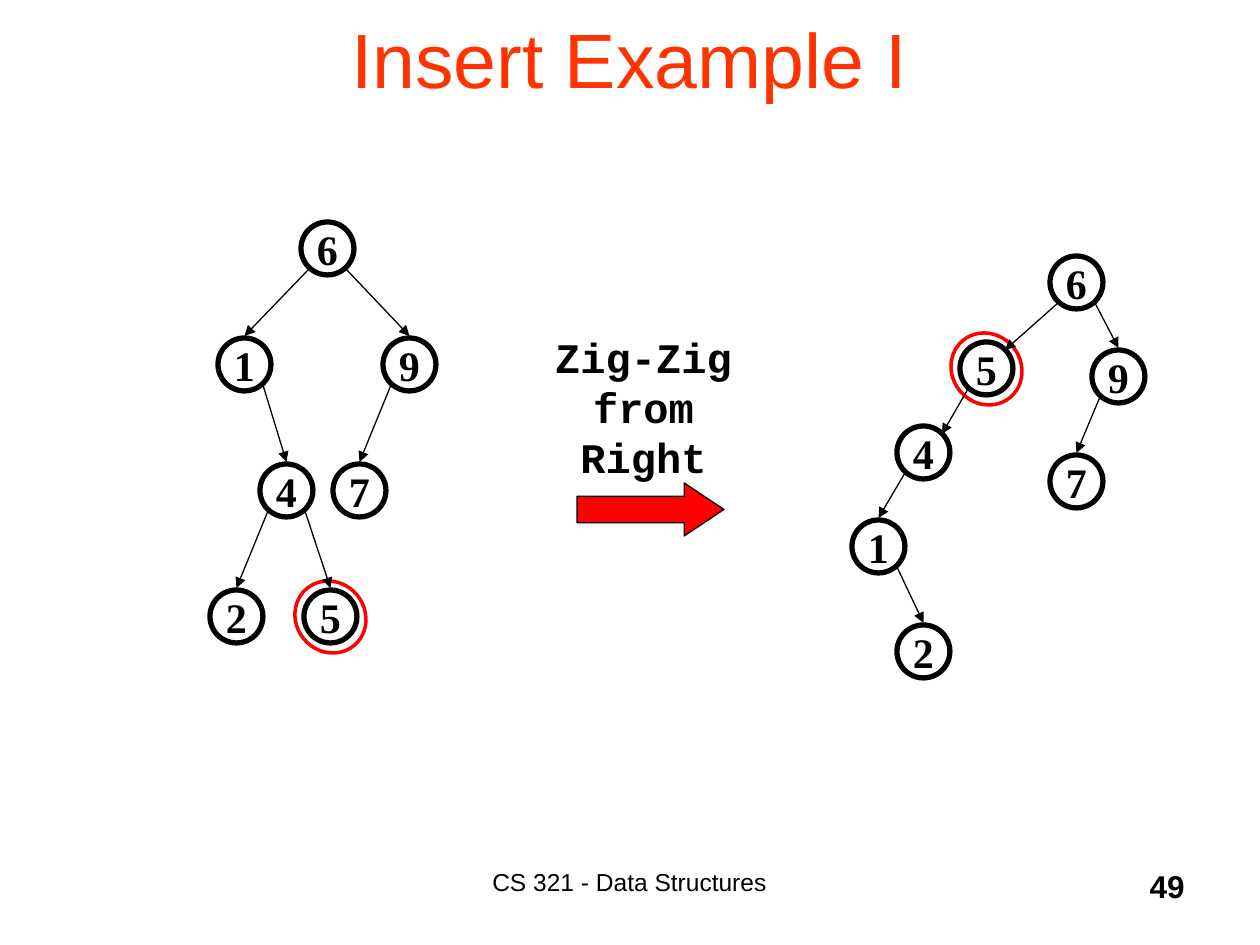
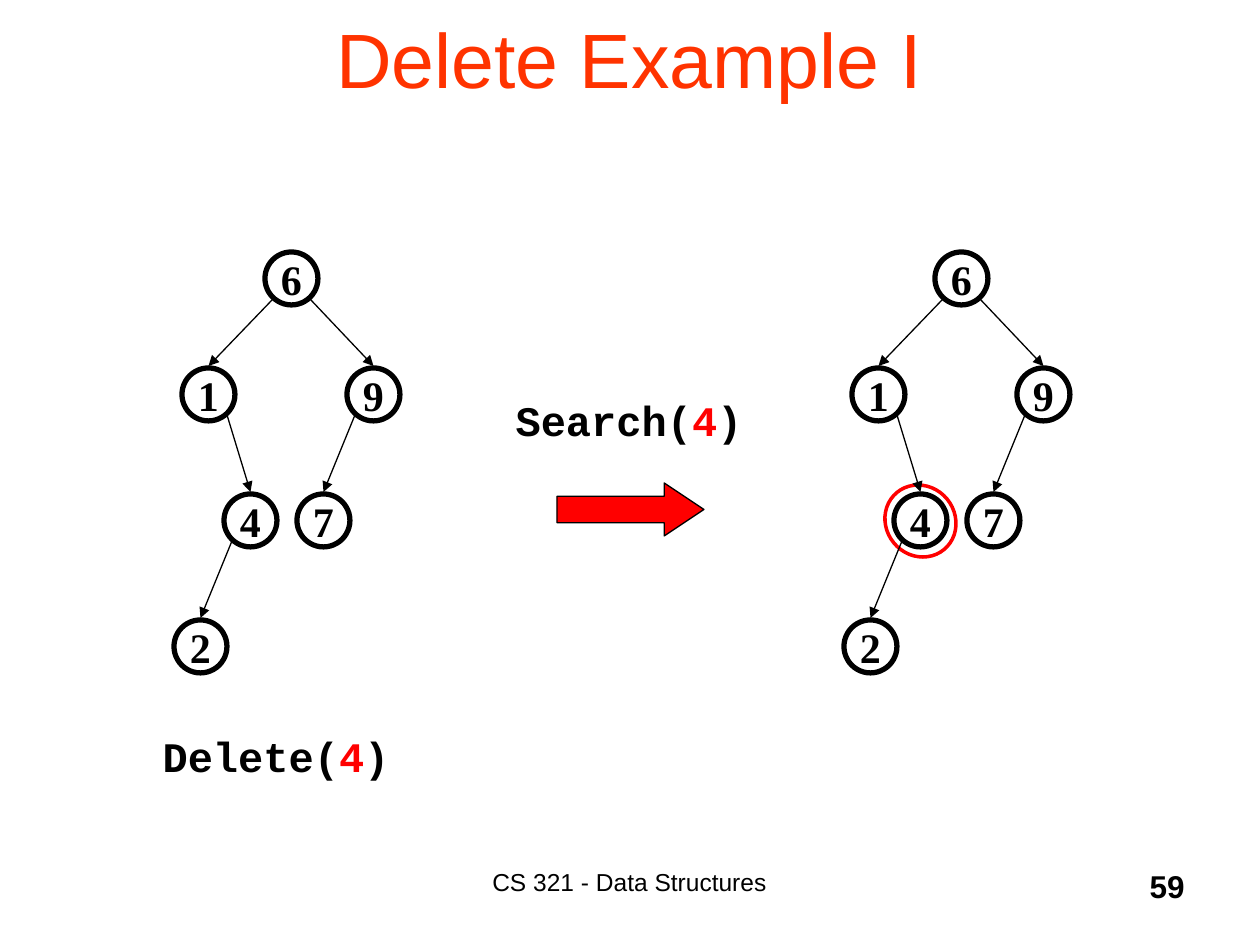
import pptx
import pptx.util
import pptx.dml.color
import pptx.enum.shapes
import pptx.enum.text
import pptx.oxml.ns
import lxml.etree

PX = 914400 / 126
BLACK = pptx.dml.color.RGBColor(0x00, 0x00, 0x00)
RED = pptx.dml.color.RGBColor(0xFF, 0x00, 0x00)
TITLE_COLOUR = pptx.dml.color.RGBColor(0xFF, 0x33, 0x00)
SANS, MONO, SERIF = "Arial", "Courier New", "Times New Roman"
SHAPE = pptx.enum.shapes.MSO_SHAPE
ALIGN = pptx.enum.text.PP_ALIGN
ANCHOR = pptx.enum.text.MSO_ANCHOR

NODE = 53
LEFT_FOOT, RIGHT_FOOT, FOOT_DROP = 8, 45, 47
CHILD_GAP = 2

SEARCH_NODES = {"6": (91, 0), "1": (8, 116), "9": (173, 116), "4": (50, 242),
                "7": (123, 242), "2": (0, 368)}
SEARCH_EDGES = ["61", "69", "14", "97", "42"]
INSERTED_NODES = {**SEARCH_NODES, "5": (94, 368)}
INSERTED_EDGES = SEARCH_EDGES + ["45"]
SPLAYED_NODES = {"6": (198, 0), "5": (108, 86), "9": (240, 94), "4": (45, 170),
                 "7": (198, 199), "1": (0, 264), "2": (45, 369)}
SPLAYED_EDGES = ["65", "69", "54", "97", "41", "12"]
SPLAYED_CORNERS = ("65", "54")


def px(*lengths):
    """Turn pixel lengths into EMU."""
    return [pptx.util.Emu(round(length * PX)) for length in lengths]


def write(frame, spans, font, size, bold=False, align=ALIGN.CENTER):
    """Fill a frame with one paragraph of (text, colour) spans."""
    para = frame.paragraphs[0]
    para.alignment = align
    for text, colour in spans:
        span = para.add_run()
        span.text = text
        span.font.name = font
        span.font.size = pptx.util.Pt(size)
        span.font.bold = bold
        span.font.color.rgb = colour


def add_text(page, box, spans, font, size, bold=False, align=ALIGN.CENTER,
             anchor=ANCHOR.TOP):
    """Place a wrapped text box."""
    frame = page.shapes.add_textbox(*px(*box)).text_frame
    frame.word_wrap = True
    frame.vertical_anchor = anchor
    write(frame, spans, font, size, bold, align)


def add_outline(shapes, kind, box, colour, width):
    """Place an unfilled preset shape."""
    shape = shapes.add_shape(kind, *px(*box))
    shape.shadow.inherit = False
    shape.fill.background()
    shape.line.color.rgb = colour
    shape.line.width = pptx.util.Pt(width)
    return shape


def add_node(shapes, left, top, key):
    """Draw one tree node with its key."""
    ring = add_outline(shapes, SHAPE.OVAL, (left, top, NODE, NODE), BLACK, 3)
    frame = ring.text_frame
    frame.margin_left = frame.margin_right = 0
    frame.margin_top = frame.margin_bottom = 0
    frame.word_wrap = False
    frame.vertical_anchor = ANCHOR.MIDDLE
    write(frame, [(key, BLACK)], SERIF, 24, True)


def add_edge(shapes, parent, child, to_corner):
    """Draw an arrow from a parent's foot to its child."""
    foot = LEFT_FOOT if child[0] < parent[0] else RIGHT_FOOT
    end = (RIGHT_FOOT, LEFT_FOOT) if to_corner else (NODE / 2, -CHILD_GAP)
    edge = shapes.add_connector(
        pptx.enum.shapes.MSO_CONNECTOR.STRAIGHT,
        *px(parent[0] + foot, parent[1] + FOOT_DROP, child[0] + end[0], child[1] + end[1]))
    edge.line.color.rgb = BLACK
    edge.line.width = pptx.util.Pt(0.75)
    qn = pptx.oxml.ns.qn
    lxml.etree.SubElement(edge.line._get_or_add_ln(), qn("a:tailEnd"), type="triangle")
    lxml.etree.SubElement(edge._element.spPr, qn("a:effectLst"))


def add_tree(page, left, top, nodes, edges, marked=None, corners=()):
    """Draw a grouped tree, circling the marked key in red."""
    places = {key: (left + x, top + y) for key, (x, y) in nodes.items()}
    if marked:
        x, y = places[marked]
        halo = add_outline(page.shapes, SHAPE.OVAL, (x - 8, y - 10, 69, 74), RED, 2)
        halo.rotation = 320.5
    shapes = page.shapes.add_group_shape().shapes
    for key, place in places.items():
        add_node(shapes, *place, key)
    for edge in edges:
        parent, child = edge
        add_edge(shapes, places[parent], places[child], edge in corners)


def add_step_arrow(page, left, top):
    """Draw the red arrow between two trees."""
    arrow = add_outline(page.shapes, SHAPE.RIGHT_ARROW, (left, top, 147, 53), BLACK, 0.75)
    arrow.fill.solid()
    arrow.fill.fore_color.rgb = RED
    arrow.adjustments[0] = 0.5
    arrow.adjustments[1] = 0.75


def add_call(page, left, top, name, key):
    """Write an operation call with its key in red."""
    spans = [(name + "(", BLACK), (key, RED), (")", BLACK)]
    add_text(page, (left, top, 258, 63), spans, MONO, 24, True)


def add_page(deck, title, number):
    """Add a page with its title, footer and number."""
    page = deck.slides.add_slide(deck.slide_layouts[6])
    add_text(page, (94, -21, 1071, 158), [(title, TITLE_COLOUR)], SANS, 44,
             anchor=ANCHOR.MIDDLE)
    add_text(page, (388, 861, 483, 63), [("CS 321 - Data Structures", BLACK)], SANS, 14)
    add_text(page, (935, 861, 262, 63), [(number, BLACK)], SANS, 18, True, ALIGN.RIGHT)
    return page


def build_insert(deck):
    """Build the insertion example."""
    page = add_page(deck, "Insert Example I", "49")
    add_tree(page, 210, 222, INSERTED_NODES, INSERTED_EDGES, "5")
    add_text(page, (536, 325, 215, 165), [("Zig-Zig from Right", BLACK)], MONO, 24, True)
    add_step_arrow(page, 577, 483)
    add_tree(page, 852, 256, SPLAYED_NODES, SPLAYED_EDGES, "5", SPLAYED_CORNERS)


def build_delete(deck):
    """Build the deletion example."""
    page = add_page(deck, "Delete Example I", "59")
    add_call(page, 500, 388, "Search", "4")
    add_step_arrow(page, 557, 483)
    for left, marked in ((174, None), (844, "4")):
        add_tree(page, left, 252, SEARCH_NODES, SEARCH_EDGES, marked)
    add_call(page, 147, 724, "Delete", "4")


def main():
    """Build and save the deck."""
    deck = pptx.Presentation()
    deck.slide_width, deck.slide_height = px(1260, 945)
    build_insert(deck)
    build_delete(deck)
    deck.save("out.pptx")


if __name__ == "__main__":
    main()
